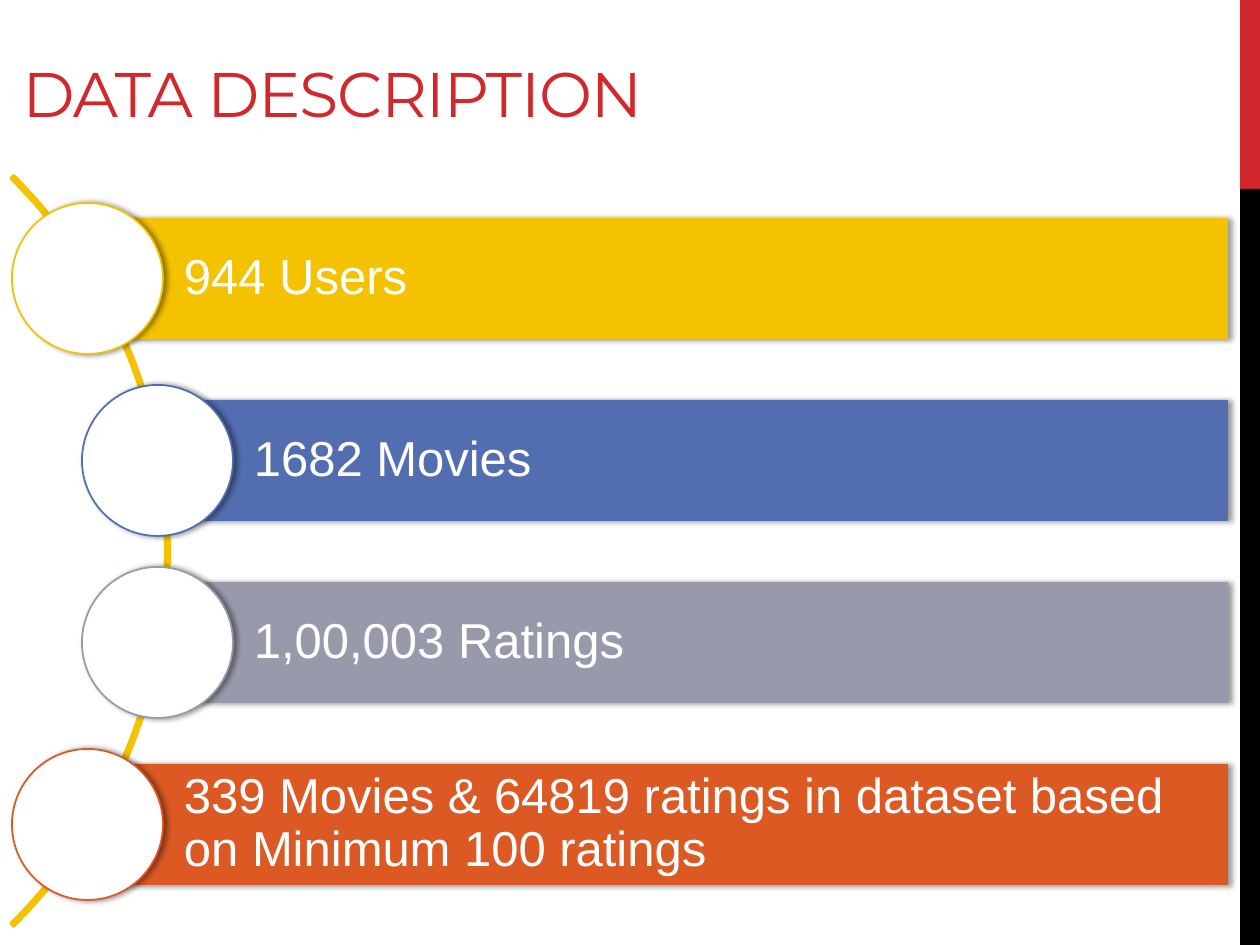
"""Build the data description slide: four bars with circles along an arc."""
from lxml import etree
from pptx import Presentation
from pptx import util as u
from pptx.dml.color import RGBColor
from pptx.enum import shapes, text
from pptx.oxml import ns

SCALE = 914400 / 126
RED = RGBColor(0xD1, 0x28, 0x2E)
BLACK = RGBColor(0, 0, 0)
WHITE = RGBColor(255, 255, 255)
YELLOW = RGBColor(0xF5, 0xC2, 0x01)
BLUE = RGBColor(0x52, 0x6D, 0xB0)
GREY = RGBColor(0x98, 0x9A, 0xAC)
ORANGE = RGBColor(0xDC, 0x59, 0x24)
SHAPE = shapes.MSO_SHAPE

deck = Presentation()
deck.slide_width, deck.slide_height = u.Inches(10), u.Inches(7.5)
page = deck.slides.add_slide(deck.slide_layouts[5])


def px(*lengths):
    return [u.Emu(round(length * SCALE)) for length in lengths]


def add_shape(kind, place, fill=None, line=None, width=1, shadow=False):
    shape = page.shapes.add_shape(kind, *px(*place))
    shape.shadow.inherit = False
    if fill is None:
        shape.fill.background()
    else:
        shape.fill.solid()
        shape.fill.fore_color.rgb = fill
    if line is None:
        shape.line.fill.background()
    else:
        shape.line.color.rgb = line
        shape.line.width = u.Pt(width)
    if shadow:
        effects = shape._element.spPr.find(ns.qn("a:effectLst"))
        outer = etree.SubElement(effects, ns.qn("a:outerShdw"), blurRad="39370",
                                 dist="22860", dir="0", rotWithShape="0")
        tint = etree.SubElement(outer, ns.qn("a:srgbClr"), val="000000")
        etree.SubElement(tint, ns.qn("a:alpha"), val="40000")
    return shape


add_shape(SHAPE.RECTANGLE, (1240, 0, 20, 189), RED)
add_shape(SHAPE.RECTANGLE, (1240, 189, 20, 756), BLACK)

title = page.shapes.title
title.left, title.top, title.width, title.height = px(10, 10, 798, 126)
title.text_frame.vertical_anchor = text.MSO_ANCHOR.BOTTOM
para = title.text_frame.paragraphs[0]
para.alignment = text.PP_ALIGN.LEFT
span = para.add_run()
span.text = "DATA DESCRIPTION"
for name, value in {"name": "Montserrat", "size": u.Pt(36)}.items():
    setattr(span.font, name, value)
span.font.color.rgb = RED
span._r.get_or_add_rPr().set("spc", "-60")

arc = add_shape(SHAPE.BLOCK_ARC, (-891, 21, 1060, 1060), line=YELLOW, width=2.25)
for index, value in enumerate((189, 27, 0.003)):
    arc.adjustments[index] = value
arc.line._get_or_add_ln().set("cap", "rnd")

rows = [
    ("944 Users", 88, YELLOW),
    ("1682 Movies", 158, BLUE),
    ("1,00,003 Ratings", 158, GREY),
    ("339 Movies & 64819 ratings in dataset based on Minimum 100 ratings", 88, ORANGE),
]
margin, indent = px(10, 96)
bar_format = {
    "word_wrap": True,
    "vertical_anchor": text.MSO_ANCHOR.MIDDLE,
    "margin_left": indent,
    "margin_top": margin,
    "margin_right": margin,
    "margin_bottom": margin,
}
for index, (label, left, color) in enumerate(rows):
    top = 218 + index * 182
    bar = add_shape(SHAPE.RECTANGLE, (left, top, 1228 - left, 121), color, shadow=True)
    for name, value in bar_format.items():
        setattr(bar.text_frame, name, value)
    para = bar.text_frame.paragraphs[0]
    para.alignment = text.PP_ALIGN.LEFT
    para.line_spacing = 0.9
    span = para.add_run()
    span.text = label
    for name, value in {"name": "Arial", "size": u.Pt(28)}.items():
        setattr(span.font, name, value)
    span.font.color.rgb = WHITE
    add_shape(SHAPE.OVAL, (left - 76, top - 15, 151, 151), WHITE, color, shadow=True)

deck.save("out.pptx")
